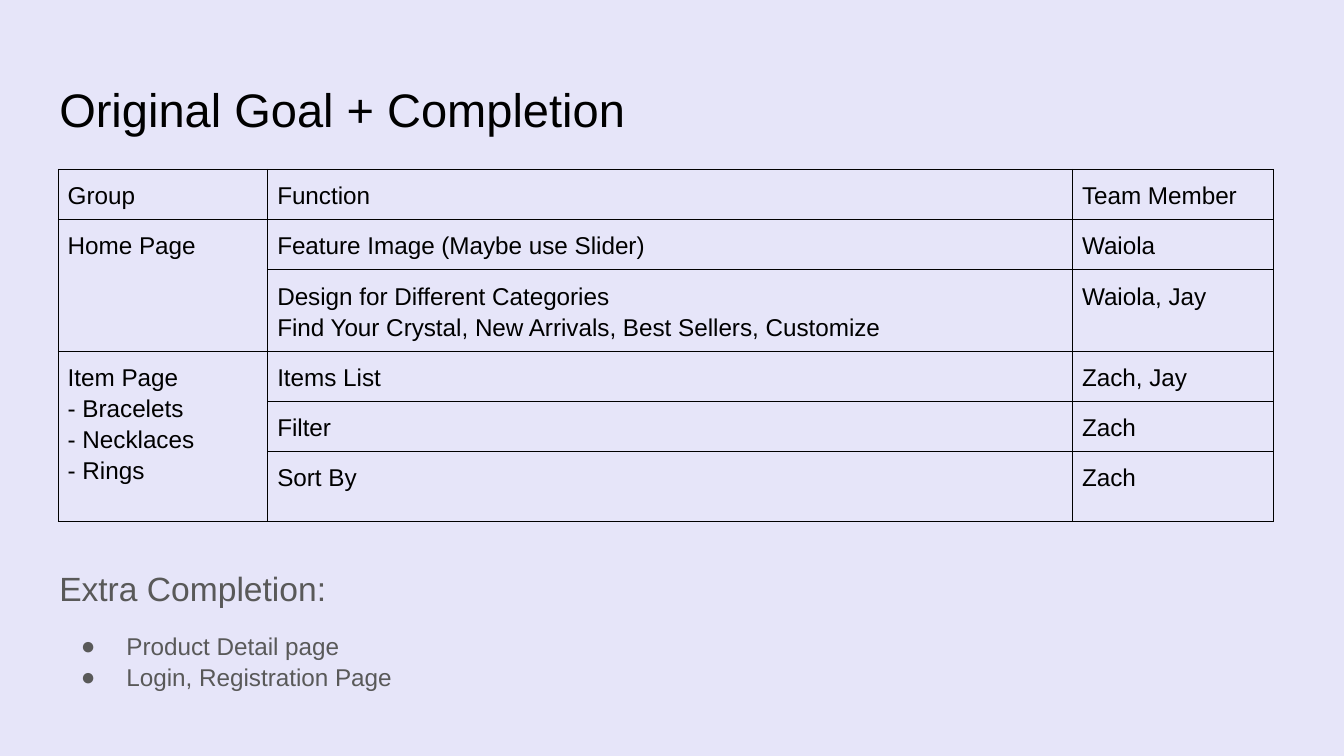
from lxml import etree
from pptx import Presentation
from pptx.dml.color import RGBColor
from pptx.enum.text import MSO_ANCHOR, MSO_AUTO_SIZE, PP_ALIGN
from pptx.oxml.ns import qn
from pptx.util import Cm, Pt

TOP, BOTTOM = MSO_ANCHOR.TOP, MSO_ANCHOR.BOTTOM
NO_FIT = MSO_AUTO_SIZE.NONE
LEFT = PP_ALIGN.LEFT

TITLE = "Original Goal + Completion"
HEADER = ["Group", "Function", "Team Member"]
GROUPS = [
    ("Home Page", [
        ("Feature Image (Maybe use Slider)", "Waiola"),
        ("Design for Different Categories\n"
         "Find Your Crystal, New Arrivals, Best Sellers, Customize", "Waiola, Jay"),
    ]),
    ("Item Page\n- Bracelets\n- Necklaces\n- Rings", [
        ("Items List", "Zach, Jay"),
        ("Filter", "Zach"),
        ("Sort By", "Zach"),
    ]),
]
EXTRA_HEADING = "Extra Completion:"
EXTRAS = ["Product Detail page", "Login, Registration Page"]

THEME = {
    "font": "Arial",
    "background": RGBColor.from_string("E6E5F9"),
    "ink": RGBColor.from_string("000000"),
    "muted": RGBColor.from_string("595959"),
    "title": Pt(25.2),
    "heading": Pt(18),
    "text": Pt(13),
    "border": Pt(0.5),
}
COL_WIDTHS = [3.96, 15.21, 3.79]
ROW_HEIGHTS = [0.94, 0.94, 1.51, 0.94, 0.94, 1.32]


def style(p, size, color, spacing=1.0, before=0):
    p.alignment = LEFT
    p.line_spacing = spacing
    p.space_before = Pt(before)
    p.font.name = THEME["font"]
    p.font.size = size
    p.font.color.rgb = color


def set_bullet(p, char=None):
    pPr = p._p.get_or_add_pPr()
    pPr.set("marL", str(Cm(1.27) if char else 0))
    pPr.set("indent", str(Cm(-0.86) if char else 0))
    bullet = etree.Element(qn("a:buChar" if char else "a:buNone"))
    if char:
        bullet.set("char", char)
    pPr.insert_element_before(bullet, "a:tabLst", "a:defRPr", "a:extLst")


def place(s, left, top, width, height, anchor):
    s.left, s.top, s.width, s.height = Cm(left), Cm(top), Cm(width), Cm(height)
    tf = s.text_frame
    tf.margin_left = tf.margin_right = tf.margin_top = tf.margin_bottom = Cm(0.25)
    tf.word_wrap = True
    tf.auto_size = NO_FIT
    tf.vertical_anchor = anchor
    return tf


def set_borders(cell):
    tcPr = cell._tc.get_or_add_tcPr()
    for i, side in enumerate(("lnL", "lnR", "lnT", "lnB")):
        ln = etree.Element(qn(f"a:{side}"), w=str(THEME["border"]))
        fill = etree.SubElement(ln, qn("a:solidFill"))
        etree.SubElement(fill, qn("a:srgbClr"), val=str(THEME["ink"]))
        tcPr.insert(i, ln)


def format_cell(cell):
    cell.margin_left = cell.margin_right = Cm(0.18)
    cell.margin_top = cell.margin_bottom = Cm(0.18)
    cell.vertical_anchor = TOP
    cell.fill.background()
    set_borders(cell)
    for p in cell.text_frame.paragraphs:
        style(p, THEME["text"], THEME["ink"], 1.15)


def add_goal_table(slide):
    s = slide.shapes.add_table(len(ROW_HEIGHTS), len(COL_WIDTHS), Cm(1.1), Cm(3.2),
                               Cm(sum(COL_WIDTHS)), Cm(sum(ROW_HEIGHTS)))
    table = s.table
    table.first_row = table.horz_banding = False
    for col, width in zip(table.columns, COL_WIDTHS):
        col.width = Cm(width)
    for row, height in zip(table.rows, ROW_HEIGHTS):
        row.height = Cm(height)

    for c, text in enumerate(HEADER):
        table.cell(0, c).text = text
    r = 1
    for group, tasks in GROUPS:
        table.cell(r, 0).merge(table.cell(r + len(tasks) - 1, 0))
        table.cell(r, 0).text = group
        for function, member in tasks:
            table.cell(r, 1).text = function
            table.cell(r, 2).text = member
            r += 1
    for cell in table.iter_cells():
        format_cell(cell)


def main():
    prs = Presentation()
    prs.slide_width, prs.slide_height = Cm(25.4), Cm(14.29)
    slide = prs.slides.add_slide(prs.slide_layouts[1])
    slide.background.fill.solid()
    slide.background.fill.fore_color.rgb = THEME["background"]

    tf = place(slide.shapes.title, 0.87, 1.24, 23.67, 1.6, BOTTOM)
    tf.text = TITLE
    style(tf.paragraphs[0], THEME["title"], THEME["ink"])

    add_goal_table(slide)

    tf = place(slide.placeholders[1], 0.87, 10.44, 23.67, 2.95, TOP)
    tf.text = "\n".join([EXTRA_HEADING] + EXTRAS)
    heading, *items = tf.paragraphs
    style(heading, THEME["heading"], THEME["muted"], 1.05)
    set_bullet(heading)
    for i, p in enumerate(items):
        style(p, THEME["text"], THEME["muted"], 1.05, 0 if i else 12)
        set_bullet(p, "●")

    prs.save("out.pptx")


if __name__ == "__main__":
    main()
